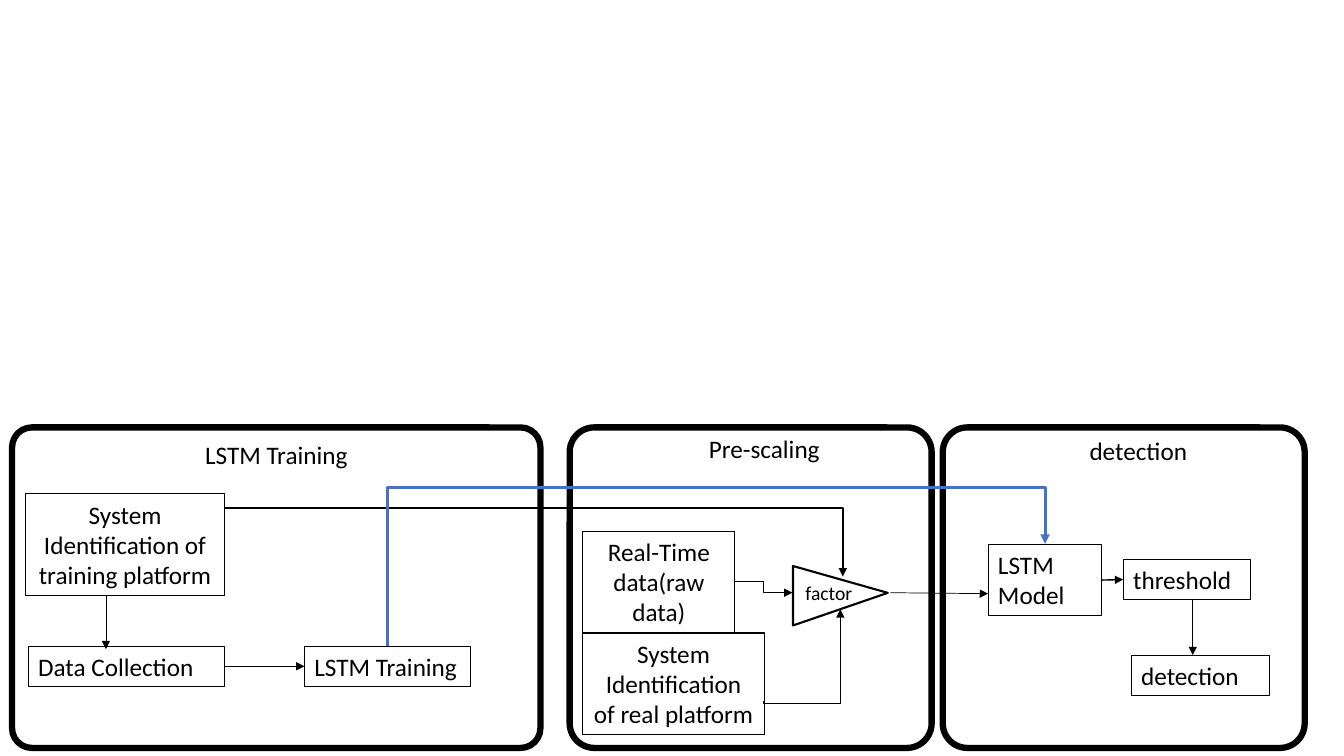
"""Build a slide with the training, pre-scaling and detection flow of an LSTM detector."""
from lxml import etree
from pptx import Presentation
from pptx.dml.color import RGBColor
from pptx.enum.shapes import MSO_CONNECTOR, MSO_SHAPE
from pptx.enum.text import MSO_ANCHOR, MSO_AUTO_SIZE, PP_ALIGN
from pptx.oxml.ns import qn
from pptx.util import Inches, Pt

STRAIGHT, ELBOW = MSO_CONNECTOR.STRAIGHT, MSO_CONNECTOR.ELBOW
RECT, ROUND, TRI = MSO_SHAPE.RECTANGLE, MSO_SHAPE.ROUNDED_RECTANGLE, MSO_SHAPE.ISOSCELES_TRIANGLE
LEFT, CENTER = PP_ALIGN.LEFT, PP_ALIGN.CENTER
TOP, GROW = MSO_ANCHOR.TOP, MSO_AUTO_SIZE.SHAPE_TO_FIT_TEXT
RIGHT_SIDE, LEFT_SIDE = 3, 1

THEME = {
    "font": "Calibri", "body": 18, "small": 14,
    "ink": RGBColor(0, 0, 0), "paper": RGBColor(255, 255, 255), "blue": RGBColor(0x44, 0x72, 0xC4),
    "panel": 4.5, "box": 0.75, "gate": 1.5, "wire": 1, "thin": 0.5, "bold": 2.25,
}

PANEL_TOP, PANEL_HIGH = 4.24, 3.18
PANELS = [(9.35, 3.59, 0.077), (5.65, 3.59, 0.077), (0.12, 5.24, 0.062)]

CAPTIONS = [
    ("LSTM Training", (1.1, 4.31, 3.28, 0.4), CENTER, "body"),
    ("Pre-scaling", (5.94, 4.25, 3.28, 0.4), CENTER, "body"),
    ("detection", (9.65, 4.27, 3.28, 0.4), CENTER, "body"),
    ("factor", (7.89, 5.71, 0.94, 0.34), LEFT, "small"),
]

BOXES = {
    "platform": ("System Identification of training platform", (0.25, 4.9, 1.98, 1.01), CENTER),
    "collect": ("Data Collection", (0.28, 6.41, 1.95, 0.4), LEFT),
    "train": ("LSTM Training", (3.02, 6.41, 1.65, 0.4), LEFT),
    "raw": ("Real-Time data(raw data)", (5.78, 5.27, 1.51, 1.01), CENTER),
    "real": ("System Identification of real platform", (5.78, 6.28, 1.8, 1.01), CENTER),
    "model": ("LSTM Model", (9.8, 5.4, 1.13, 0.71), LEFT),
    "limit": ("threshold", (11.14, 5.55, 1.26, 0.4), LEFT),
    "result": ("detection", (11.22, 6.5, 1.37, 0.4), LEFT),
}

GATE = ((8.04, 5.44, 0.59, 0.94), 90, 0.452)

JOINS = [("collect", "train"), ("model", "limit")]
ARROWS = [
    ((1.05, 5.91), (1.05, 6.44), "thin"),
    ((8.83, 5.88), (9.8, 5.89), "thin"),
    ((11.83, 5.95), (11.83, 6.5), "wire"),
]
BENDS = [
    ((7.29, 5.77, 0.57, 0.11), "bentConnector3", 0.5, False, "ink", "wire"),
    ((2.23, 5.04, 6.13, 0.68), "bentConnector2", None, False, "ink", "wire"),
    ((7.5, 6.12, 0.91, 0.76), "bentConnector3", -0.025, True, "ink", "wire"),
    ((6.6, 2.64, 1.01, 6.52), "bentConnector3", 1.554, True, "blue", "bold"),
]


def place(box):
    return [Inches(v) for v in box]


def write(shape, text, align, size):
    frame = shape.text_frame
    frame.word_wrap = True
    frame.auto_size = GROW
    frame.vertical_anchor = TOP
    para = frame.paragraphs[0]
    para.alignment = align
    run = para.add_run()
    run.text = text
    run.font.name = THEME["font"]
    run.font.size = Pt(THEME[size])
    run.font.color.rgb = THEME["ink"]


def draw(slide, kind, box, width, filled=True):
    shape = slide.shapes.add_shape(kind, *place(box))
    shape.shadow.inherit = False
    if filled:
        shape.fill.solid()
        shape.fill.fore_color.rgb = THEME["paper"]
    else:
        shape.fill.background()
    shape.line.color.rgb = THEME["ink"]
    shape.line.width = Pt(THEME[width])
    return shape


def link(slide, kind, start, end, width, color="ink"):
    wire = slide.shapes.add_connector(kind, *place(start + end))
    wire.line.color.rgb = THEME[color]
    wire.line.width = Pt(THEME[width])
    etree.SubElement(wire.line._get_or_add_ln(), qn("a:tailEnd"), type="triangle")
    etree.SubElement(wire._element.spPr, qn("a:effectLst"))
    return wire


def bend(slide, box, preset, adj, turned, color, width):
    x, y, w, h = box
    wire = link(slide, ELBOW, (x, y), (x + w, y + h), width, color)
    props = wire._element.spPr
    geom = props.find(qn("a:prstGeom"))
    geom.set("prst", preset)
    if adj is not None:
        guides = geom.find(qn("a:avLst"))
        etree.SubElement(guides, qn("a:gd"), name="adj1", fmla=f"val {round(adj * 100000)}")
    if turned:
        frame = props.find(qn("a:xfrm"))
        for key, value in (("rot", "5400000"), ("flipH", "1"), ("flipV", "1")):
            frame.set(key, value)


def main():
    deck = Presentation()
    deck.slide_width, deck.slide_height = Inches(13.33), Inches(7.5)
    slide = deck.slides.add_slide(deck.slide_layouts[6])

    for left, wide, curve in PANELS:
        panel = draw(slide, ROUND, (left, PANEL_TOP, wide, PANEL_HIGH), "panel")
        panel.adjustments[0] = curve

    box, turn, peak = GATE
    gate = draw(slide, TRI, box, "gate")
    gate.rotation = turn
    gate.adjustments[0] = peak

    for text, box, align, size in CAPTIONS:
        write(slide.shapes.add_textbox(*place(box)), text, align, size)

    nodes = {}
    for name, (text, box, align) in BOXES.items():
        nodes[name] = draw(slide, RECT, box, "box", filled=False)
        write(nodes[name], text, align, "body")

    for first, last in JOINS:
        wire = link(slide, STRAIGHT, (0, 0), (0, 0), "wire")
        wire.begin_connect(nodes[first], RIGHT_SIDE)
        wire.end_connect(nodes[last], LEFT_SIDE)
    for start, end, width in ARROWS:
        link(slide, STRAIGHT, start, end, width)
    for item in BENDS:
        bend(slide, *item)

    deck.save("out.pptx")


if __name__ == "__main__":
    main()
